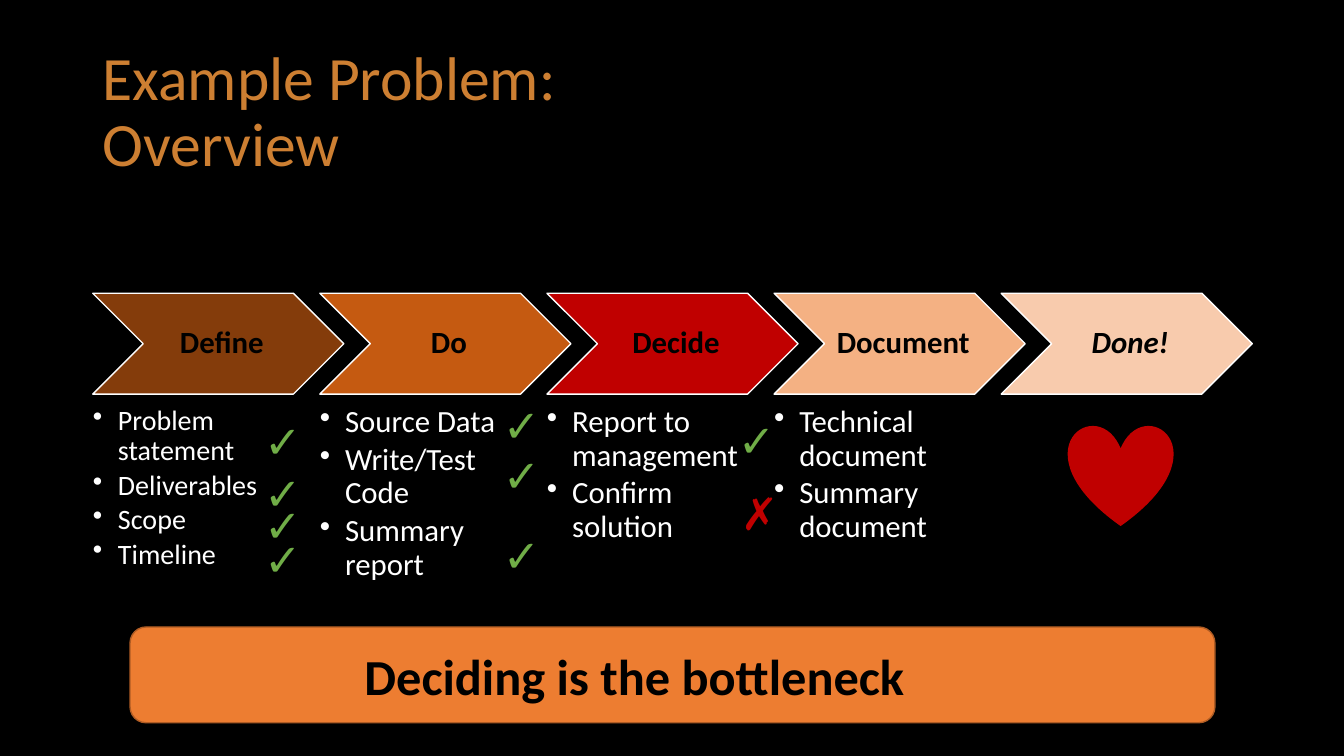
from lxml import etree
from pptx import Presentation
from pptx.dml.color import RGBColor
from pptx.enum.shapes import MSO_SHAPE as Shape
from pptx.enum.text import MSO_ANCHOR as Anchor, PP_ALIGN as Align
from pptx.oxml.ns import qn
from pptx.util import Inches, Pt

COLORS = {
    "black": "000000", "white": "FFFFFF", "bronze": "CD7F32",
    "brown": "843C0B", "rust": "C55A11", "red": "C00000",
    "peach": "F4B183", "cream": "F8CBAD", "green": "70AD47",
    "orange": "ED7D31", "edge": "AF5C24",
}
TITLE = "Example Problem:\vOverview"
BANNER = "Deciding is the bottleneck"

# label, fill, bullet size, bullets
STEPS = [
    ("Define", "brown", 20,
     ["Problem statement", "Deliverables", "Scope", "Timeline"]),
    ("Do", "rust", 22, ["Source Data", "Write/Test Code", "Summary report"]),
    ("Decide", "red", 22, ["Report to management", "Confirm solution"]),
    ("Document", "peach", 22, ["Technical document", "Summary document"]),
    ("Done!", "cream", 22, []),
]
# sign, color, left, tops
MARKS = [
    ("✓", "green", 2.52, [4.06, 4.57, 4.89, 5.23]),
    ("✓", "green", 4.89, [3.9, 4.39, 5.19]),
    ("✓", "green", 7.22, [4.05]),
    ("✗", "red", 7.25, [4.77]),
]
LEFT, PITCH = 0.92, 2.2525
TOP, WIDTH, HEIGHT = 2.91, 2.49, 1
INSET = HEIGHT / 2
LIST_TOP, LIST_W, LIST_H = 4.03, 1.99, 1.81
INDENT = 0.25


def color(name):
    return RGBColor.from_string(COLORS[name])


def style(para, size, name, bold=False, italic=False):
    for run in para.runs:
        font = run.font
        font.name, font.size = "Calibri", Pt(size)
        font.bold, font.italic = bold, italic
        font.color.rgb = color(name)


def add_text(slide, box, text, insets=(0.1, 0.05, 0.1, 0.05),
             anchor=Anchor.TOP, wrap=True):
    frame = slide.shapes.add_textbox(*map(Inches, box)).text_frame
    frame.word_wrap, frame.vertical_anchor = wrap, anchor
    (frame.margin_left, frame.margin_top,
     frame.margin_right, frame.margin_bottom) = map(Inches, insets)
    frame.text = text
    return frame


def add_block(slide, kind, box, fill, line):
    block = slide.shapes.add_shape(kind, *map(Inches, box))
    block.shadow.inherit = False
    block.fill.solid()
    block.fill.fore_color.rgb = color(fill)
    block.line.color.rgb = color(line)
    block.line.width = Pt(1)
    return block


def add_bullet(para):
    props = para._p.get_or_add_pPr()
    props.set("marL", str(Inches(INDENT)))
    props.set("indent", str(Inches(-INDENT)))
    etree.SubElement(props, qn("a:buChar")).set("char", "•")


def add_step(slide, left, label, fill, size, items):
    add_block(slide, Shape.CHEVRON, (left, TOP, WIDTH, HEIGHT), fill, "white")
    box = (left + INSET, TOP, WIDTH - 2 * INSET, HEIGHT)
    frame = add_text(slide, box, label, (0.1, 0.03, 0.03, 0.03), Anchor.MIDDLE)
    head = frame.paragraphs[0]
    head.alignment, head.line_spacing = Align.CENTER, 0.9
    style(head, 22, "black", bold=True, italic=label.endswith("!"))
    if not items:
        return
    box = (left, LIST_TOP, LIST_W, LIST_H)
    frame = add_text(slide, box, "\n".join(items), (0, 0, 0, 0))
    for para in frame.paragraphs:
        add_bullet(para)
        para.line_spacing = 0.9
        para.space_after = Pt(0.15 * size)
        style(para, size, "white")


def main():
    deck = Presentation()
    deck.slide_width, deck.slide_height = Inches(13.33), Inches(7.5)
    slide = deck.slides.add_slide(deck.slide_layouts[6])
    back = slide.background.fill
    back.solid()
    back.fore_color.rgb = color("black")

    frame = add_text(slide, (LEFT, 0.4, 11.5, 1.45), TITLE,
                     anchor=Anchor.MIDDLE)
    title = frame.paragraphs[0]
    title.line_spacing = 0.9
    style(title, 44, "bronze")

    for i, step in enumerate(STEPS):
        add_step(slide, LEFT + i * PITCH, *step)

    add_block(slide, Shape.HEART, (10.6, 4.22, 1.03, 0.99), "red", "red")
    for sign, name, left, tops in MARKS:
        for top in tops:
            frame = add_text(slide, (left, top, 0.55, 0.64), sign, wrap=False)
            style(frame.paragraphs[0], 32, name)

    banner = add_block(slide, Shape.ROUNDED_RECTANGLE,
                       (1.29, 6.22, 10.76, 0.95), "orange", "edge")
    frame = banner.text_frame
    frame.text = BANNER
    frame.margin_right = Inches(0.85)
    frame.vertical_anchor = Anchor.MIDDLE
    frame.paragraphs[0].alignment = Align.CENTER
    style(frame.paragraphs[0], 36, "black", bold=True)

    deck.save("out.pptx")


if __name__ == "__main__":
    main()
